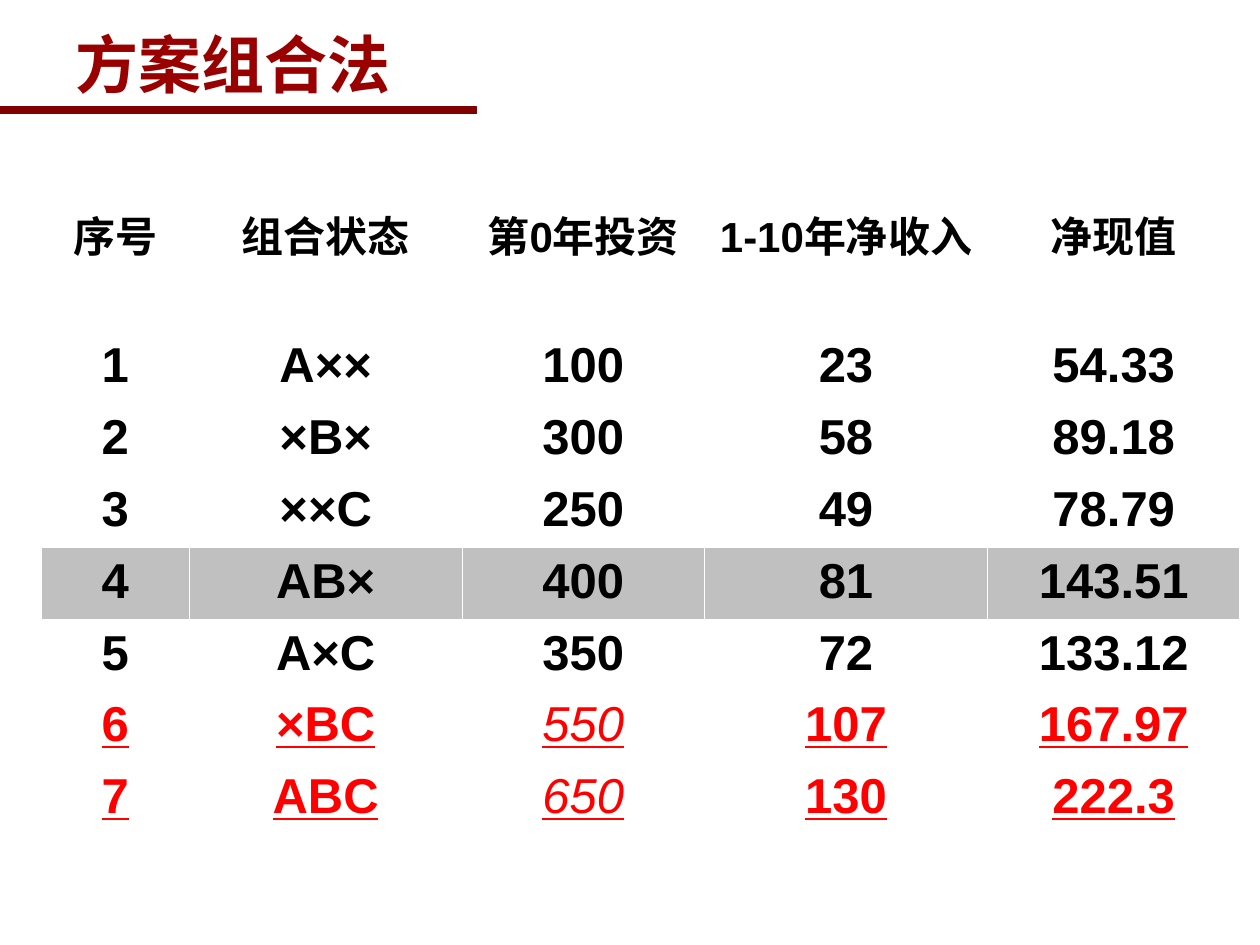
import pptx
import pptx.util
import pptx.dml.color
import pptx.enum.shapes
import pptx.enum.text
import pptx.oxml
import pptx.oxml.ns

Inches = pptx.util.Inches
Pt = pptx.util.Pt
RGBColor = pptx.dml.color.RGBColor

TITLE_RED = RGBColor(0x99, 0x00, 0x00)
BAR_RED = RGBColor(0x80, 0x00, 0x00)
BLACK = RGBColor(0x00, 0x00, 0x00)
RED = RGBColor(0xFF, 0x00, 0x00)
GRAY = RGBColor(0xC0, 0xC0, 0xC0)
WHITE = RGBColor(0xFF, 0xFF, 0xFF)

ROWS = [
    ("序号", "组合状态", "第0年投资", "1-10年净收入", "净现值"),
    ("1", "A××", "100", "23", "54.33"),
    ("2", "×B×", "300", "58", "89.18"),
    ("3", "××C", "250", "49", "78.79"),
    ("4", "AB×", "400", "81", "143.51"),
    ("5", "A×C", "350", "72", "133.12"),
    ("6", "×BC", "550", "107", "167.97"),
    ("7", "ABC", "650", "130", "222.3"),
]
COL_WIDTHS = [1.17, 2.17, 1.92, 2.25, 2]
HEADER_HEIGHT, ROW_HEIGHT = 0.9, 0.57
INVESTMENT_COL = 2
SHADED_ROW = 4
OVER_BUDGET_ROWS = (6, 7)

INNER_BORDER, OUTER_BORDER = 0.45, 1.08

TITLE_FONT = {"name": "Arial", "size": Pt(36), "bold": True}
HEADER_FONT = {"name": "Arial", "size": Pt(24), "bold": True}
BODY_FONT = {**HEADER_FONT, "size": Pt(28)}
OVER_BUDGET_FONT = {**BODY_FONT, "underline": True}
OVER_BUDGET_INVESTMENT_FONT = {**OVER_BUDGET_FONT, "bold": False, "italic": True}


def write(tf, text, font, color, align):
    p = tf.paragraphs[0]
    p.alignment = align
    r = p.add_run()
    r.text = text
    for name, value in font.items():
        setattr(r.font, name, value)
    r.font.color.rgb = color


def add_title(s, text):
    sp = s.shapes.title
    sp.left, sp.top, sp.width, sp.height = map(Inches, (0.5, 0.25, 8.5, 0.5))
    tf = sp.text_frame
    tf.auto_size = pptx.enum.text.MSO_AUTO_SIZE.NONE
    tf.vertical_anchor = pptx.enum.text.MSO_ANCHOR.MIDDLE
    write(tf, text, TITLE_FONT, TITLE_RED, pptx.enum.text.PP_ALIGN.LEFT)


def add_title_bar(s):
    sp = s.shapes.add_shape(
        pptx.enum.shapes.MSO_SHAPE.RECTANGLE,
        Inches(-0.01), Inches(0.85), Inches(3.79), Inches(0.05),
    )
    sp.shadow.inherit = False
    sp.fill.solid()
    sp.fill.fore_color.rgb = BAR_RED
    sp.line.color.rgb = BAR_RED
    sp.line.width = Pt(0.75)


def set_borders(cell, outer_sides):
    """Give the cell white borders, heavier on the table's outer sides."""
    tc_pr = cell._tc.get_or_add_tcPr()
    for side in "LRTB":
        width = Pt(OUTER_BORDER if side in outer_sides else INNER_BORDER)
        tc_pr.append(pptx.oxml.parse_xml(
            f'<a:ln{side} {pptx.oxml.ns.nsdecls("a")} w="{int(width)}"><a:solidFill>'
            f'<a:srgbClr val="{WHITE}"/></a:solidFill></a:ln{side}>'
        ))


def cell_font(row, col):
    if row == 0:
        return HEADER_FONT, BLACK
    if row not in OVER_BUDGET_ROWS:
        return BODY_FONT, BLACK
    if col == INVESTMENT_COL:
        return OVER_BUDGET_INVESTMENT_FONT, RED
    return OVER_BUDGET_FONT, RED


def add_plan_table(s):
    last_row, last_col = len(ROWS) - 1, len(COL_WIDTHS) - 1
    height = HEADER_HEIGHT + last_row * ROW_HEIGHT
    table = s.shapes.add_table(
        len(ROWS), len(COL_WIDTHS),
        Inches(0.33), Inches(1.57), Inches(sum(COL_WIDTHS)), Inches(height),
    ).table
    table.first_row = table.horz_banding = False
    for column, width in zip(table.columns, COL_WIDTHS):
        column.width = Inches(width)
    for i, values in enumerate(ROWS):
        table.rows[i].height = Inches(ROW_HEIGHT if i else HEADER_HEIGHT)
        for j, text in enumerate(values):
            cell = table.cell(i, j)
            edges = {"L": j == 0, "R": j == last_col, "T": i == 0, "B": i == last_row}
            set_borders(cell, [side for side, outer in edges.items() if outer])
            if i == SHADED_ROW:
                cell.fill.solid()
                cell.fill.fore_color.rgb = GRAY
            else:
                cell.fill.background()
            write(cell.text_frame, text, *cell_font(i, j),
                  pptx.enum.text.PP_ALIGN.CENTER)


def main():
    prs = pptx.Presentation()
    prs.slide_width, prs.slide_height = Inches(10), Inches(7.5)
    s = prs.slides.add_slide(prs.slide_layouts[5])
    add_title_bar(s)
    add_title(s, "方案组合法")
    add_plan_table(s)
    prs.save("out.pptx")


if __name__ == "__main__":
    main()
